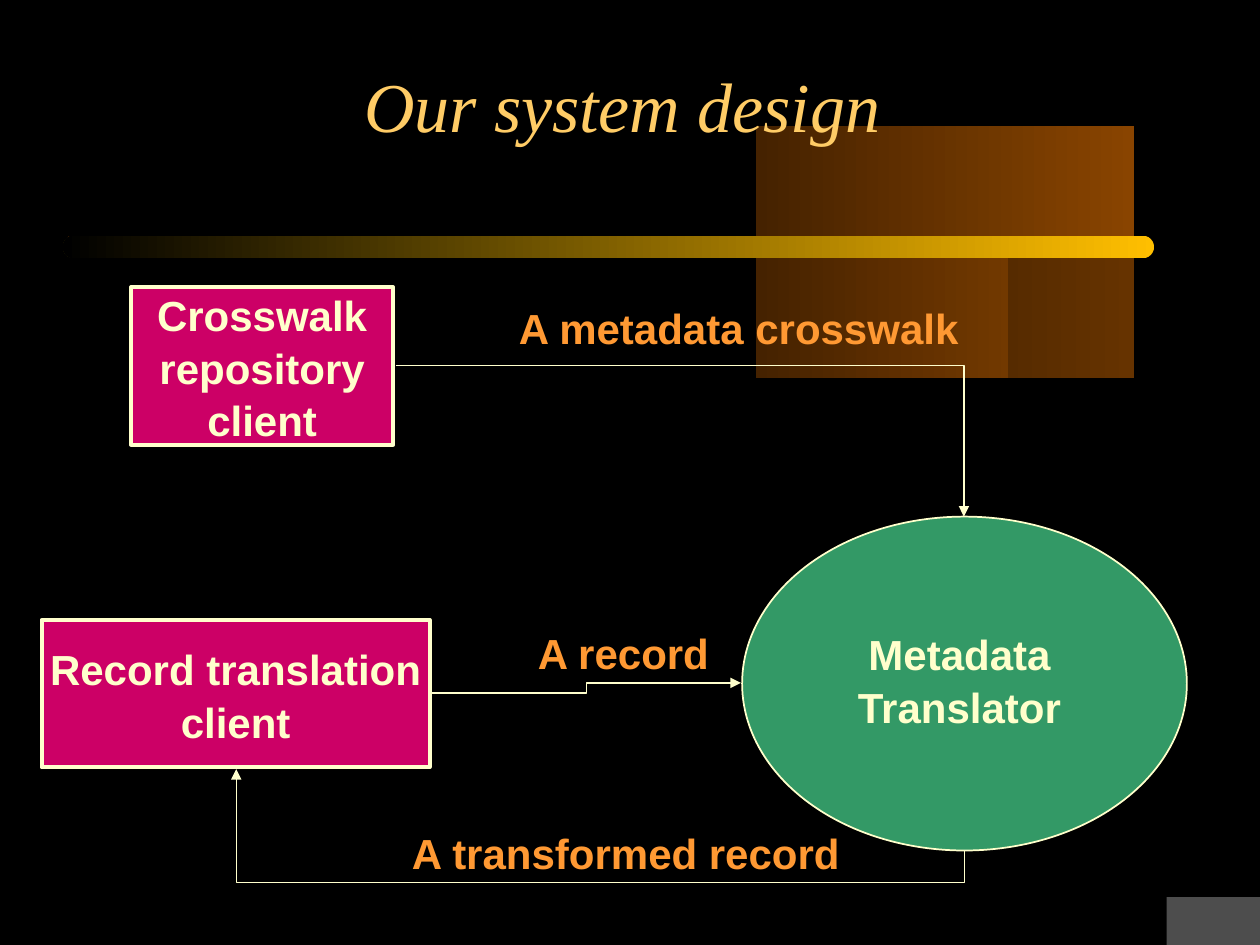
from dataclasses import dataclass
from math import cos, pi, sin
from typing import Optional

from lxml.etree import SubElement
from pptx import Presentation
from pptx.dml.color import RGBColor
from pptx.enum.shapes import MSO_CONNECTOR, MSO_SHAPE as Preset
from pptx.enum.text import MSO_ANCHOR as Anchor, PP_ALIGN as Align
from pptx.oxml.ns import qn
from pptx.util import Inches, Pt

BLACK = RGBColor(0x00, 0x00, 0x00)
GOLD = RGBColor(0xFF, 0xBF, 0x00)
TITLE_GOLD = RGBColor(0xFF, 0xCC, 0x66)
CREAM = RGBColor(0xFF, 0xFF, 0xCC)
MAGENTA = RGBColor(0xCC, 0x00, 0x66)
GREEN = RGBColor(0x33, 0x99, 0x66)
ORANGE = RGBColor(0xFF, 0x99, 0x33)
GREY = RGBColor(0x4D, 0x4D, 0x4D)

TITLE_FONT = dict(name="Times New Roman", size=Pt(40), italic=True, bold=False)
LABEL_FONT = dict(name="Arial", size=Pt(24), bold=True)
AXIS_Y = 1.96  # the comet is symmetric about this height


@dataclass
class Halo:
    center_x: float
    radius_x: float
    radius_y: float
    tip: RGBColor
    edge: RGBColor  # half as bright as the tip


@dataclass
class Label:
    text: str
    box: tuple
    color: RGBColor = ORANGE
    align: Align = Align.LEFT
    wrap: bool = False


@dataclass
class Flow:
    source: object
    source_site: int
    target: object
    target_site: int
    box: tuple
    preset: str = "bentConnector3"
    bend: Optional[float] = None
    flip_v: bool = False
    rotation: int = 0


HALOS = [
    Halo(6.28, 3.14, 0.87, RGBColor(0x66, 0x33, 0x00), RGBColor(0x33, 0x1A, 0x00)),
    Halo(6.20, 3.13, 0.69, RGBColor(0x89, 0x44, 0x00), RGBColor(0x45, 0x22, 0x00)),
    Halo(6.16, 3.13, 0.45, RGBColor(0xB7, 0x5B, 0x00), RGBColor(0x5C, 0x2E, 0x00)),
]
LABELS = [
    Label("Metadata Translator", (6.25, 4.92, 2.73, 0.9), CREAM, Align.CENTER, True),
    Label("A transformed record", (3.17, 6.5, 3.61, 0.5)),
    Label("A record", (4.17, 4.91, 1.57, 0.5)),
    Label("A metadata crosswalk", (4.02, 2.33, 3.7, 0.5)),
]


def inches(box: tuple) -> list:
    return [Inches(length) for length in box]


def format_font(font, formats: dict, color: RGBColor) -> None:
    for attribute, value in formats.items():
        setattr(font, attribute, value)
    font.color.rgb = color


def write(frame, text: str, color: RGBColor, align: Align, wrap: bool) -> None:
    frame.word_wrap = wrap
    frame.text = text
    for paragraph in frame.paragraphs:
        paragraph.alignment = align
        paragraph.line_spacing = 1.05
        format_font(paragraph.font, LABEL_FONT, color)


def fade(shape, right: RGBColor, left: RGBColor) -> None:
    shape.shadow.inherit = False
    shape.line.fill.background()
    shape.fill.gradient()
    shape.fill.gradient_angle = 180
    for stop, color in zip(shape.fill.gradient_stops, (right, left)):
        stop.color.rgb = color


def draw_halo(shapes, halo: Halo, steps: int = 90) -> None:
    angles = [pi * (step / steps - 0.5) for step in range(steps + 1)]
    arc = [(halo.center_x + halo.radius_x * cos(angle),
            AXIS_Y + halo.radius_y * sin(angle)) for angle in angles]
    builder = shapes.build_freeform(*arc[0], scale=Inches(1))
    builder.add_line_segments(arc[1:], close=True)
    fade(builder.convert_to_shape(), halo.tip, halo.edge)


def draw_node(shapes, preset: Preset, box: tuple, fill: RGBColor,
              line_width: float = 0, text: str = ""):
    node = shapes.add_shape(preset, *inches(box))
    node.shadow.inherit = False
    node.fill.solid()
    node.fill.fore_color.rgb = fill
    if line_width:
        node.line.color.rgb = CREAM
        node.line.width = Pt(line_width)
    else:
        node.line.fill.background()
    if text:
        node.text_frame.vertical_anchor = Anchor.MIDDLE
        write(node.text_frame, text, CREAM, Align.CENTER, False)
    return node


def draw_label(shapes, label: Label) -> None:
    frame = shapes.add_textbox(*inches(label.box)).text_frame
    write(frame, label.text, label.color, label.align, label.wrap)


def draw_flow(shapes, flow: Flow) -> None:
    arrow = shapes.add_connector(MSO_CONNECTOR.ELBOW, 0, 0, 0, 0)
    arrow.begin_connect(flow.source, 0)
    arrow.end_connect(flow.target, 0)
    # An ellipse has eight connection sites, so the site is set directly
    for tag, site in (("a:stCxn", flow.source_site), ("a:endCxn", flow.target_site)):
        next(arrow._element.iter(qn(tag))).set("idx", str(site))
    arrow.left, arrow.top, arrow.width, arrow.height = inches(flow.box)
    properties = arrow._element.spPr
    transform = properties.find(qn("a:xfrm"))
    for name, value in (("rot", flow.rotation * 60000), ("flipH", 0),
                        ("flipV", int(flow.flip_v))):
        transform.set(name, str(value))
    geometry = properties.find(qn("a:prstGeom"))
    geometry.set("prst", flow.preset)
    if flow.bend is not None:
        guide = SubElement(geometry.find(qn("a:avLst")), qn("a:gd"))
        guide.set("name", "adj1")
        guide.set("fmla", f"val {round(flow.bend * 100000)}")
    arrow.line.color.rgb = CREAM
    arrow.line.width = Pt(0.75)
    SubElement(properties.find(qn("a:ln")), qn("a:tailEnd")).set("type", "triangle")
    SubElement(properties, qn("a:effectLst"))


def main() -> None:
    deck = Presentation()
    deck.slide_width, deck.slide_height = Inches(10), Inches(7.5)
    slide = deck.slides.add_slide(deck.slide_layouts[5])
    shapes = slide.shapes
    slide.background.fill.solid()
    slide.background.fill.fore_color.rgb = BLACK

    # Comet and corner mark
    for halo in HALOS:
        draw_halo(shapes, halo)
    tail = shapes.add_shape(Preset.ROUNDED_RECTANGLE, *inches((0.5, 1.87, 8.66, 0.18)))
    tail.adjustments[0] = 0.5
    fade(tail, GOLD, BLACK)
    draw_node(shapes, Preset.RECTANGLE, (9.26, 7.12, 0.74, 0.38), GREY)

    # Title, in front of the comet
    title = shapes.title
    title.left, title.top, title.width, title.height = inches((0.51, 0.28, 8.86, 0.93))
    title.text_frame.text = "Our system design"
    title.text_frame.vertical_anchor = Anchor.BOTTOM
    heading = title.text_frame.paragraphs[0]
    heading.alignment = Align.CENTER
    format_font(heading.font, TITLE_FONT, TITLE_GOLD)
    shapes._spTree.append(title._element)

    # Components
    translator = draw_node(shapes, Preset.OVAL, (5.89, 4.1, 3.53, 2.65), GREEN, 1)
    repository = draw_node(shapes, Preset.RECTANGLE, (1.04, 2.28, 2.08, 1.25),
                           MAGENTA, 2.25, "Crosswalk\nrepository\nclient")
    client = draw_node(shapes, Preset.RECTANGLE, (0.33, 4.92, 3.08, 1.17),
                       MAGENTA, 2.25, "Record translation\nclient")

    # Flows between them
    for flow in (
        Flow(client, 3, translator, 2, (3.43, 5.42, 2.45, 0.08), bend=0.5, flip_v=True),
        Flow(translator, 4, client, 2, (4.44, 3.54, 0.65, 5.78), bend=-0.38,
             flip_v=True, rotation=270),
        Flow(repository, 3, translator, 0, (3.14, 2.9, 4.51, 1.2), "bentConnector2"),
    ):
        draw_flow(shapes, flow)
    for label in LABELS:
        draw_label(shapes, label)

    deck.save("out.pptx")


if __name__ == "__main__":
    main()
